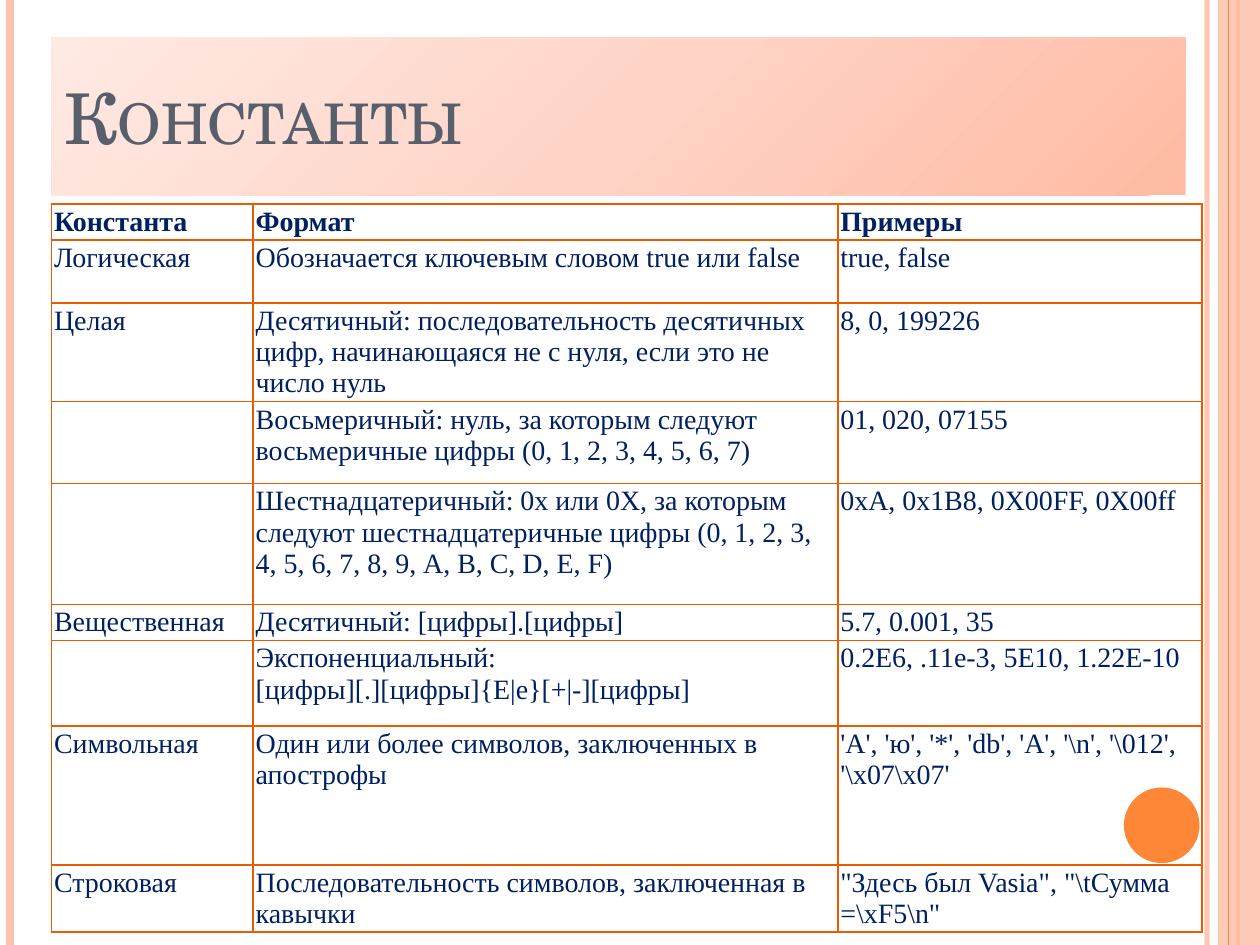
from lxml import etree
from pptx import Presentation
from pptx.dml.color import RGBColor
from pptx.enum import shapes, text
from pptx.oxml import ns, parse_xml
from pptx.util import Pt

PEACH = RGBColor(0xFE, 0xC3, 0xAE)
ORANGE = RGBColor(0xFE, 0x86, 0x37)
RUST = RGBColor(0xE7, 0x5C, 0x01)
SLATE = RGBColor(0x57, 0x5F, 0x6D)
NAVY = RGBColor(0x00, 0x20, 0x60)
GRAD = [
    (0, RGBColor(0xFF, 0xBB, 0xA3)),
    (50, RGBColor(0xFF, 0xD4, 0xC7)),
    (100, RGBColor(0xFF, 0xEA, 0xE4)),
]

LEFT = 29.52
COLS = [115.2, 334.08, 208.08]
HEIGHTS = [19.44, 36, 52.56, 46.8, 69.12, 19.44, 48.96, 79.2, 36]
ROWS = [
    ("Константа", "Формат", "Примеры"),
    ("Логическая", "Обозначается ключевым словом true или false", "true, false"),
    ("Целая",
     "Десятичный: последовательность десятичных цифр, начинающаяся не с нуля, если это не число нуль",
     "8, 0, 199226"),
    ("",
     "Восьмеричный: нуль, за которым следуют восьмеричные цифры (0, 1, 2, 3, 4, 5, 6, 7)",
     "01, 020, 07155"),
    ("",
     "Шестнадцатеричный: 0х или 0Х, за которым следуют шестнадцатеричные цифры "
     "(0, 1, 2, 3, 4, 5, 6, 7, 8, 9, A, B, C, D, E, F)",
     "0xA, 0x1B8, 0X00FF, 0X00ff"),
    ("Вещественная", "Десятичный: [цифры].[цифры]", "5.7, 0.001, 35"),
    ("", "Экспоненциальный:\n[цифры][.][цифры]{E|e}[+|-][цифры]",
     "0.2E6, .11e-3, 5E10, 1.22E-10"),
    ("Символьная", "Один или более символов, заключенных в апострофы",
     r"'A', 'ю', '*', 'db', 'A', '\n', '\012', '\x07\x07'"),
    ("Строковая", "Последовательность символов, заключенная в кавычки",
     r'"Здесь был Vasia", "\tСумма =\xF5\n"'),
]


def fade(props, alpha):
    color = props.find(".//" + ns.qn("a:srgbClr"))
    etree.SubElement(color, ns.qn("a:alpha"), val=str(alpha * 1000))


def add_run(para, words, font, size, color, bold=False):
    run = para.add_run()
    run.text = words
    run.font.name = font
    run.font.size = Pt(size)
    run.font.color.rgb = color
    run.font.bold = bold
    return run


def add_rule(slide, x, width, color, alpha=100):
    rule = slide.shapes.add_connector(
        shapes.MSO_CONNECTOR.STRAIGHT, Pt(x), Pt(0), Pt(x), Pt(540))
    rule.line.width = Pt(width)
    rule.line.color.rgb = color
    props = rule._element.spPr
    if alpha < 100:
        fade(props, alpha)
    etree.SubElement(props, ns.qn("a:effectLst"))


def add_block(slide, kind, x, y, wide, high, color, alpha=100):
    block = slide.shapes.add_shape(kind, Pt(x), Pt(y), Pt(wide), Pt(high))
    block.shadow.inherit = False
    block.fill.solid()
    block.fill.fore_color.rgb = color
    block.line.fill.background()
    if alpha < 100:
        fade(block._element.spPr, alpha)


def set_title(slide, words):
    title = slide.shapes.title
    title.left, title.top = Pt(LEFT), Pt(21.6)
    title.width, title.height = Pt(648), Pt(90)
    stops = "".join(
        f'<a:gs pos="{pos * 1000}"><a:srgbClr val="{color}"/></a:gs>'
        for pos, color in GRAD)
    title._element.spPr.append(parse_xml(
        f'<a:gradFill {ns.nsdecls("a")} rotWithShape="1"><a:gsLst>{stops}</a:gsLst>'
        f'<a:lin ang="{225 * 60000}" scaled="0"/></a:gradFill>'))
    frame = title.text_frame
    frame.word_wrap = True
    frame.auto_size = text.MSO_AUTO_SIZE.NONE
    frame.vertical_anchor = text.MSO_ANCHOR.MIDDLE
    para = frame.paragraphs[0]
    para.alignment = text.PP_ALIGN.LEFT
    run = add_run(para, words, "TeX Gyre Schola", 40, SLATE)
    run.font._element.set("cap", "small")


def add_edges(cell):
    props = cell._tc.get_or_add_tcPr()
    for spot, side in enumerate("LRTB"):
        props.insert(spot, parse_xml(
            f'<a:ln{side} {ns.nsdecls("a")} w="{Pt(1)}"><a:solidFill>'
            f'<a:srgbClr val="{RUST}"/></a:solidFill></a:ln{side}>'))


def fill_cell(cell, words, head):
    cell.fill.background()
    add_edges(cell)
    cell.margin_left = cell.margin_right = Pt(1.44)
    cell.margin_top = cell.margin_bottom = Pt(1.44)
    cell.vertical_anchor = text.MSO_ANCHOR.MIDDLE if head else text.MSO_ANCHOR.TOP
    frame = cell.text_frame
    if not words:
        frame.paragraphs[0].font.size = Pt(16)
        return
    for num, line in enumerate(words.split("\n")):
        para = frame.add_paragraph() if num else frame.paragraphs[0]
        add_run(para, line, "Times New Roman", 16, NAVY, head)


def add_grid(slide):
    grid = slide.shapes.add_table(
        len(ROWS), len(COLS), Pt(LEFT), Pt(116.64),
        Pt(sum(COLS)), Pt(sum(HEIGHTS))).table
    grid.first_row = grid.horz_banding = False
    for col, wide in zip(grid.columns, COLS):
        col.width = Pt(wide)
    for num, (row, high) in enumerate(zip(grid.rows, HEIGHTS)):
        row.height = Pt(high)
        for cell, words in zip(row.cells, ROWS[num]):
            fill_cell(cell, words, num == 0)


def main():
    deck = Presentation()
    deck.slide_width, deck.slide_height = Pt(720), Pt(540)
    slide = deck.slides.add_slide(deck.slide_layouts[5])
    add_rule(slide, 689.76, 3, PEACH, 93)
    add_rule(slide, 5.76, 4.5, PEACH)
    add_rule(slide, 707.76, 1.5, ORANGE)
    add_block(slide, shapes.MSO_SHAPE.RECTANGLE, 696, 0, 24, 540, PEACH, 87)
    add_rule(slide, 702, 0.75, ORANGE)
    add_block(slide, shapes.MSO_SHAPE.OVAL, 642.24, 450, 43.2, 43.2, ORANGE)
    set_title(slide, "Константы")
    add_grid(slide)
    deck.save("out.pptx")


if __name__ == "__main__":
    main()
